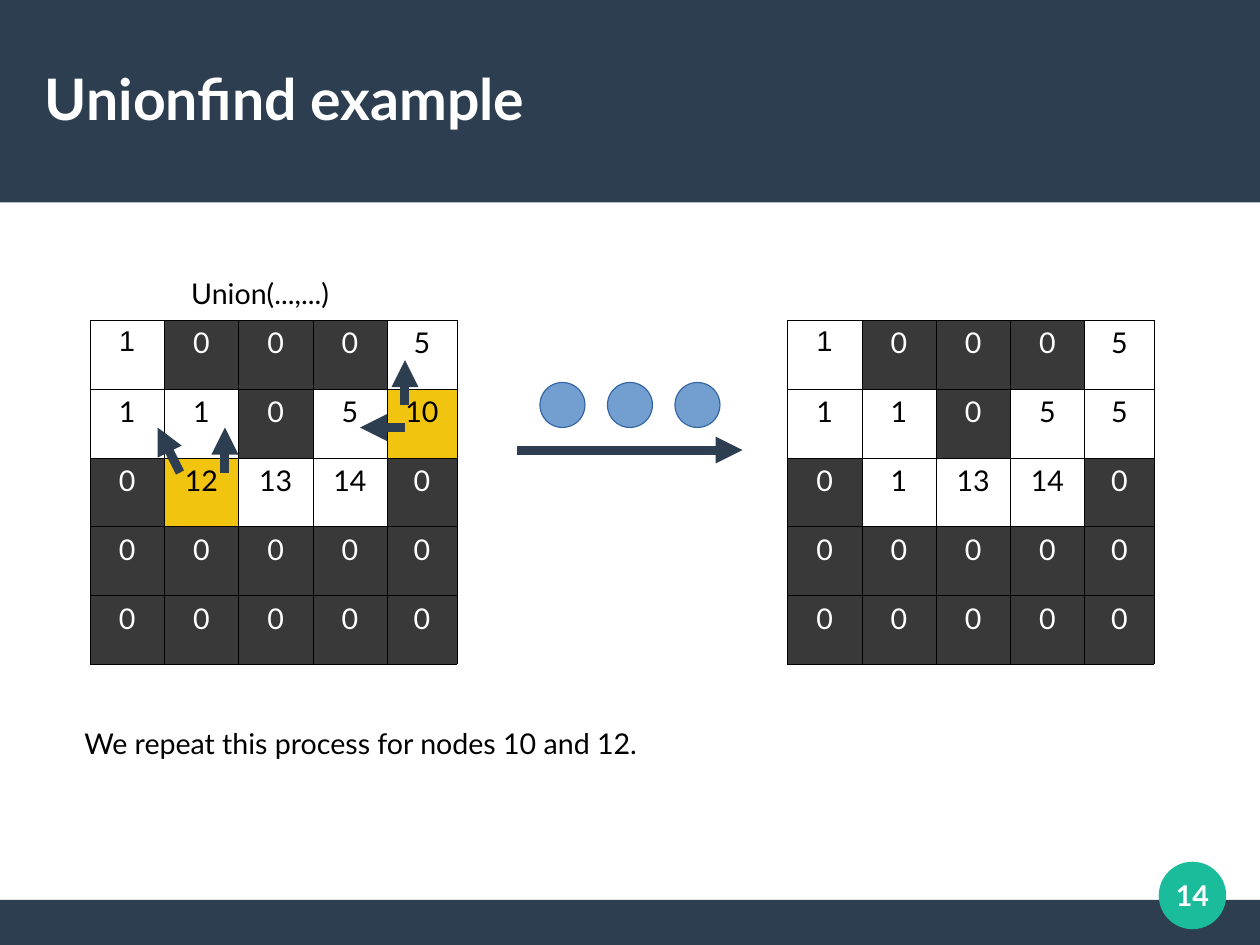
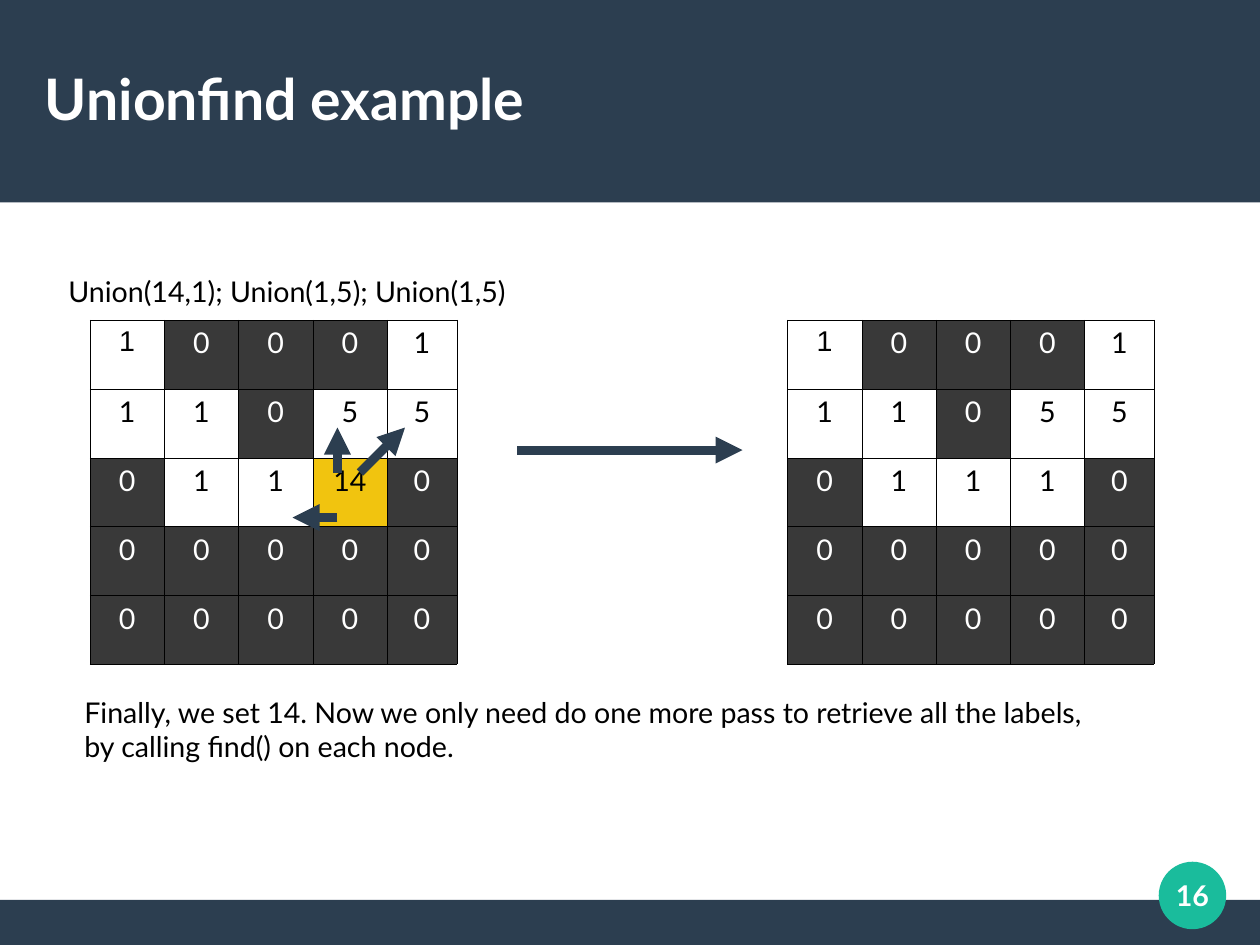
"""Build two slides that step through a union-find labelling."""
import dataclasses
import typing

import lxml.etree
import pptx
import pptx.dml.color
import pptx.enum.shapes
import pptx.enum.text
import pptx.oxml.ns
import pptx.util

HUES = {
    "navy": "2C3E50", "teal": "1ABC9C", "white": "FFFFFF", "black": "000000",
    "dark": "393939", "gold": "F1C40F", "blue": "729FCF", "edge": "3465A4",
}
COLS, ROWS = 56, 42
WIDE, HIGH = pptx.util.Cm(28), pptx.util.Cm(21)
UNIT = WIDE / COLS
WIDTHS = (3.3, 3.3, 3.3, 3.3, 3.1)
TALL = 3.06
TOP = 14.22
LEFTS = {"after": 35, "before": 4}
FONT = "Lato"
SHAPE = pptx.enum.shapes.MSO_SHAPE
ALIGN = pptx.enum.text.PP_ALIGN
MIDDLE = pptx.enum.text.MSO_ANCHOR.MIDDLE


class Box(typing.NamedTuple):
    """Hold a place in grid units."""
    left: float
    top: float
    wide: float
    high: float


class Arrow(typing.NamedTuple):
    """Hold the start and end of an arrow in grid units."""
    x1: float
    y1: float
    x2: float
    y2: float


@dataclasses.dataclass(frozen=True)
class Step:
    """Describe what one slide shows."""
    page: str
    call: str
    spot: Box
    before: tuple[str, ...]
    after: tuple[str, ...]
    hot: tuple[str, ...]
    note: str
    drop: float
    arrows: tuple[Arrow, ...]
    dots: tuple[float, ...] = ()


BLANK = ("0 0 0 0 0",) * 2
FLOW = Arrow(23, 20, 33, 20)
STEPS = (
    Step(
        "14", "Union(...,...)", Box(8, 12, 8.53, 2.24),
        ("1 0 0 0 5", "1 1 0 5 10", "0 12 13 14 0", *BLANK),
        ("1 0 0 0 5", "1 1 0 5 5", "0 1 13 14 0", *BLANK),
        ("10", "12"), "We repeat this process for nodes 10 and 12.", 32,
        (Arrow(8, 21, 7, 19), Arrow(10, 21, 10, 19),
         Arrow(18, 19, 16, 19), Arrow(18, 18, 18, 16)),
        (24, 27, 30),
    ),
    Step(
        "16", "Union(14,1); Union(1,5); Union(1,5)", Box(2.54, 11.94, 21.54, 2.24),
        ("1 0 0 0 1", "1 1 0 5 5", "0 1 1 14 0", *BLANK),
        ("1 0 0 0 1", "1 1 0 5 5", "0 1 1 1 0", *BLANK),
        ("14",),
        "Finally, we set 14. Now we only need do one more pass to retrieve "
        "all the labels, by calling find() on each node.", 30.63,
        (Arrow(15, 23, 13, 23), Arrow(15, 21, 15, 19), Arrow(16, 21, 18, 19)),
    ),
)


def span(*sides: float) -> list[pptx.util.Emu]:
    """Turn grid units into lengths."""
    return [pptx.util.Emu(round(side * UNIT)) for side in sides]


def tint(name: str) -> pptx.dml.color.RGBColor:
    """Look up a colour by name."""
    return pptx.dml.color.RGBColor.from_string(HUES[name])


def paint(item, name: str) -> None:
    """Fill a shape or cell with one colour."""
    item.fill.solid()
    item.fill.fore_color.rgb = tint(name)


def write(frame, text: str, hue: str, size: float = 18, bold: bool = False,
          font: str = FONT, align=ALIGN.LEFT) -> None:
    """Add one run to the first paragraph of a frame."""
    para = frame.paragraphs[0]
    para.alignment = align
    run = para.add_run()
    run.text = text
    run.font.name, run.font.size, run.font.bold = font, pptx.util.Pt(size), bold
    run.font.color.rgb = tint(hue)


def form(slide, kind, box: Box, hue: str, edge: str = "") -> None:
    """Draw a flat shape with an optional hairline."""
    shape = slide.shapes.add_shape(kind, *span(*box))
    shape.shadow.inherit = False
    paint(shape, hue)
    if edge:
        shape.line.color.rgb = tint(edge)
        shape.line.width = 0
    else:
        shape.line.fill.background()


def tight(slide, box: Box, text: str, size: float, align=ALIGN.LEFT) -> None:
    """Add bold white text, centred in height and without insets."""
    frame = slide.shapes.add_textbox(*span(*box)).text_frame
    frame.word_wrap = True
    frame.vertical_anchor = MIDDLE
    frame.margin_left = frame.margin_right = 0
    frame.margin_top = frame.margin_bottom = 0
    write(frame, text, "white", size, True, align=align)


def loose(slide, box: Box, text: str, wrap: bool) -> None:
    """Add black text in a box that grows."""
    frame = slide.shapes.add_textbox(*span(*box)).text_frame
    frame.word_wrap = wrap
    frame.auto_size = pptx.enum.text.MSO_AUTO_SIZE.SHAPE_TO_FIT_TEXT
    write(frame, text, "black")


def point(slide, arrow: Arrow) -> None:
    """Draw a thick arrow."""
    line = slide.shapes.add_connector(
        pptx.enum.shapes.MSO_CONNECTOR.STRAIGHT, *span(*arrow))
    line.line.color.rgb = tint("navy")
    line.line.width = pptx.util.Pt(5.67)
    qn = pptx.oxml.ns.qn
    stroke = line.line._get_or_add_ln()
    lxml.etree.SubElement(stroke, qn("a:tailEnd"), type="triangle")
    lxml.etree.SubElement(line._element.spPr, qn("a:effectLst"))


def frame_cell(cell) -> None:
    """Give a cell four thin black borders."""
    qn = pptx.oxml.ns.qn
    props = cell._tc.get_or_add_tcPr()
    for place, side in enumerate(("lnL", "lnR", "lnT", "lnB")):
        edge = lxml.etree.Element(qn(f"a:{side}"), w="762")
        fill = lxml.etree.SubElement(edge, qn("a:solidFill"))
        lxml.etree.SubElement(fill, qn("a:srgbClr"), val=HUES["black"])
        props.insert(place, edge)


def chart_grid(slide, left: float, rows: tuple[str, ...],
               hot: tuple[str, ...]) -> None:
    """Draw a table of labels, dark for zero and gold for hot ones."""
    box = Box(left, TOP, sum(WIDTHS), TALL * len(rows))
    table = slide.shapes.add_table(len(rows), len(WIDTHS), *span(*box)).table
    table.first_row = table.horz_banding = False
    for col, wide in zip(table.columns, span(*WIDTHS)):
        col.width = wide
    for y, row in enumerate(rows):
        table.rows[y].height = span(TALL)[0]
        for x, text in enumerate(row.split()):
            cell = table.cell(y, x)
            zero = text == "0"
            paint(cell, "dark" if zero else "gold" if text in hot else "white")
            frame_cell(cell)
            write(cell.text_frame, text, "white" if zero else "black",
                  font=FONT if x or y else "Arial", align=ALIGN.CENTER)


def base(slide) -> None:
    """Draw the bands, the page disc and the title."""
    form(slide, SHAPE.RECTANGLE, Box(0, 40, COLS, 2), "navy")
    form(slide, SHAPE.RECTANGLE, Box(0, 0, COLS, 9), "navy")
    form(slide, SHAPE.OVAL, Box(51.5, 38.3, 3, 3), "teal")
    tight(slide, Box(2, 1.68, 52, 5.33), "Unionfind example", 36)


def build(slide, step: Step) -> None:
    """Draw one step."""
    base(slide)
    point(slide, FLOW)
    loose(slide, step.spot, step.call, False)
    chart_grid(slide, LEFTS["after"], step.after, ())
    chart_grid(slide, LEFTS["before"], step.before, step.hot)
    for left in step.dots:
        form(slide, SHAPE.OVAL, Box(left, 17, 2, 2), "blue", "edge")
    loose(slide, Box(3.25, step.drop, 46.75, 8), step.note, True)
    for arrow in step.arrows:
        point(slide, arrow)
    tight(slide, Box(51, 37.8, 4, 4), step.page, 18, ALIGN.CENTER)


def main() -> None:
    """Build and save the deck."""
    deck = pptx.Presentation()
    deck.slide_width, deck.slide_height = WIDE, HIGH
    for step in STEPS:
        build(deck.slides.add_slide(deck.slide_layouts[6]), step)
    deck.save("out.pptx")


if __name__ == "__main__":
    main()
